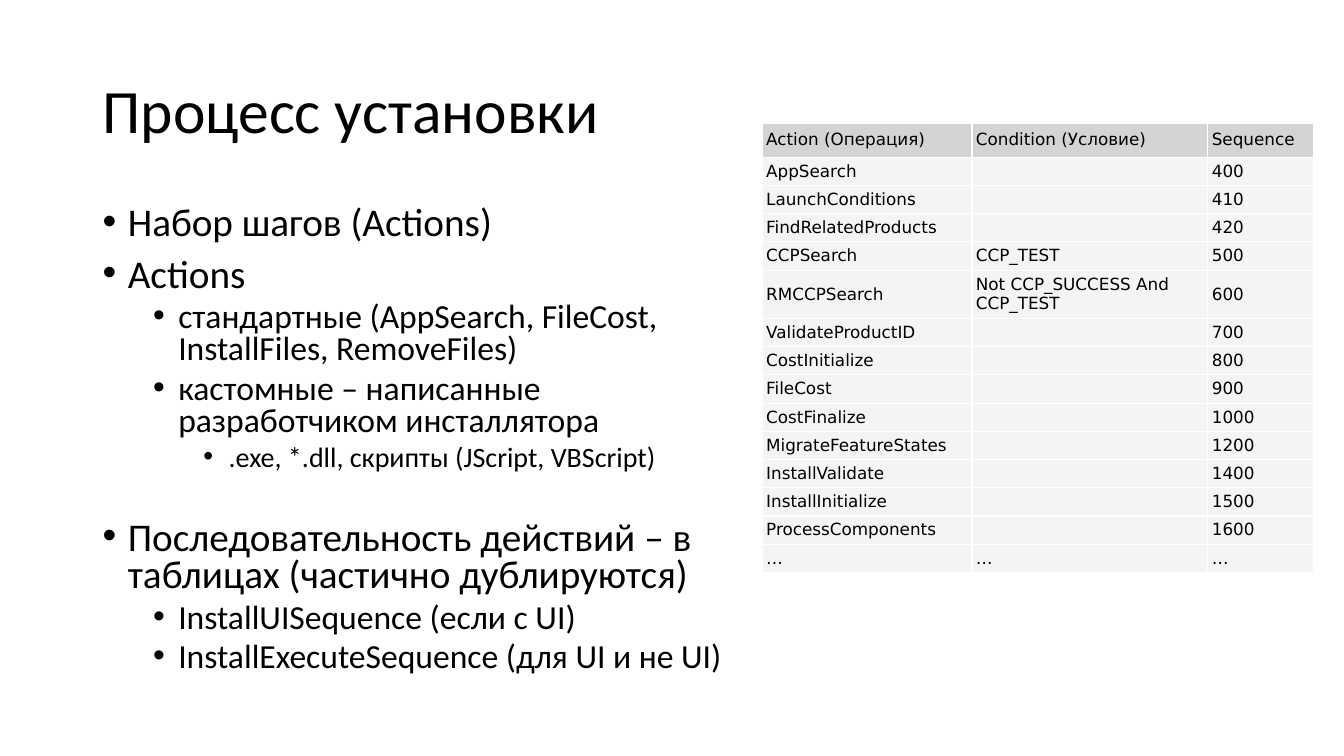
from lxml import etree
from pptx import Presentation
from pptx.dml.color import RGBColor
from pptx.enum import text
from pptx.oxml import ns
from pptx.util import Inches, Pt

TITLE = "Процесс установки"
STEPS = [
    (0, "Набор шагов (Actions)"),
    (0, "Actions"),
    (1, "стандартные (AppSearch, FileCost, InstallFiles, RemoveFiles)"),
    (1, "кастомные – написанные разработчиком инсталлятора"),
    (2, ".exe, *.dll, скрипты (JScript, VBScript)"),
    (0, "Последовательность действий – в таблицах (частично дублируются)"),
    (1, "InstallUISequence (если с UI)"),
    (1, "InstallExecuteSequence (для UI и не UI)"),
]
SEQUENCE = [
    ("Action (Операция)", "Condition (Условие)", "Sequence"),
    ("AppSearch", "", "400"),
    ("LaunchConditions", "", "410"),
    ("FindRelatedProducts", "", "420"),
    ("CCPSearch", "CCP_TEST", "500"),
    ("RMCCPSearch", "Not CCP_SUCCESS And CCP_TEST", "600"),
    ("ValidateProductID", "", "700"),
    ("CostInitialize", "", "800"),
    ("FileCost", "", "900"),
    ("CostFinalize", "", "1000"),
    ("MigrateFeatureStates", "", "1200"),
    ("InstallValidate", "", "1400"),
    ("InstallInitialize", "", "1500"),
    ("ProcessComponents", "", "1600"),
    ("…", "…", "…"),
]
THEME = {
    "ink": RGBColor(0, 0, 0),
    "header": RGBColor(0xD4, 0xD4, 0xD4),
    "row": RGBColor(0xF4, 0xF4, 0xF4),
    "text_font": "Calibri",
    "table_font": "DejaVu Sans",
    "title": 44,
    "levels": (28, 24, 20),
    "table": 12,
}
TITLE_BOX = (0.92, 0.4, 11.5, 1.45)
STEPS_BOX = (0.92, 2, 6.56, 4.76)
TABLE_AT = (7.56, 1.22)
COLUMNS = (2.08, 2.34, 1.05)
ROW, HEADER_ROW, TWO_LINE_ROW = 0.27, 0.34, 0.45
LEVEL_GAPS = (10, 5, 5)
SECTION_GAP = 34.5
CELL_INSET = Inches(0.04)


def apply(target, values):
    for name, value in values.items():
        setattr(target, name, value)


def write(paragraph, words, size, font):
    run = paragraph.add_run()
    run.text = words
    apply(run.font, {"size": Pt(size), "name": font})
    run.font.color.rgb = THEME["ink"]


def add_text_frame(slide, box, anchor):
    frame = slide.shapes.add_textbox(*map(Inches, box)).text_frame
    apply(frame, {"word_wrap": True, "vertical_anchor": anchor})
    return frame


def add_steps(slide):
    frame = add_text_frame(slide, STEPS_BOX, text.MSO_ANCHOR.TOP)
    previous = 0
    for index, (level, words) in enumerate(STEPS):
        step = frame.add_paragraph() if index else frame.paragraphs[0]
        new_section = previous == 2 and level == 0
        gap = SECTION_GAP if new_section else LEVEL_GAPS[level]
        apply(step, {"level": level, "line_spacing": 0.8, "space_before": Pt(gap)})
        write(step, words, THEME["levels"][level], THEME["text_font"])
        properties = step._p.get_or_add_pPr()
        properties.set("marL", str(Inches(0.25 + 0.5 * level)))
        properties.set("indent", str(Inches(-0.25)))
        etree.SubElement(properties, ns.qn("a:buFont"), typeface="Arial")
        etree.SubElement(properties, ns.qn("a:buChar"), char="•")
        previous = level


def add_sequence(slide):
    heights = [HEADER_ROW] + [
        TWO_LINE_ROW if len(condition) > 20 else ROW for _, condition, _ in SEQUENCE[1:]
    ]
    box = (*TABLE_AT, sum(COLUMNS), sum(heights))
    table = slide.shapes.add_table(len(SEQUENCE), len(COLUMNS), *map(Inches, box)).table
    apply(table, {"first_row": False, "horz_banding": False})
    for column, width in zip(table.columns, COLUMNS):
        column.width = Inches(width)
    for index, (row, height, entries) in enumerate(zip(table.rows, heights, SEQUENCE)):
        row.height = Inches(height)
        for cell, words in zip(row.cells, entries):
            apply(cell, {f"margin_{side}": CELL_INSET for side in ("left", "right", "top", "bottom")})
            cell.vertical_anchor = text.MSO_ANCHOR.MIDDLE
            cell.fill.solid()
            cell.fill.fore_color.rgb = THEME["row" if index else "header"]
            entry = cell.text_frame.paragraphs[0]
            if words:
                write(entry, words, THEME["table"], THEME["table_font"])
            else:
                etree.SubElement(entry._p, ns.qn("a:endParaRPr"), sz=str(THEME["table"] * 100))


def main():
    deck = Presentation()
    apply(deck, {"slide_width": Inches(13.33), "slide_height": Inches(7.5)})
    slide = deck.slides.add_slide(deck.slide_layouts[6])
    heading = add_text_frame(slide, TITLE_BOX, text.MSO_ANCHOR.MIDDLE).paragraphs[0]
    heading.line_spacing = 0.9
    write(heading, TITLE, THEME["title"], THEME["text_font"])
    add_steps(slide)
    add_sequence(slide)
    deck.save("out.pptx")


if __name__ == "__main__":
    main()
